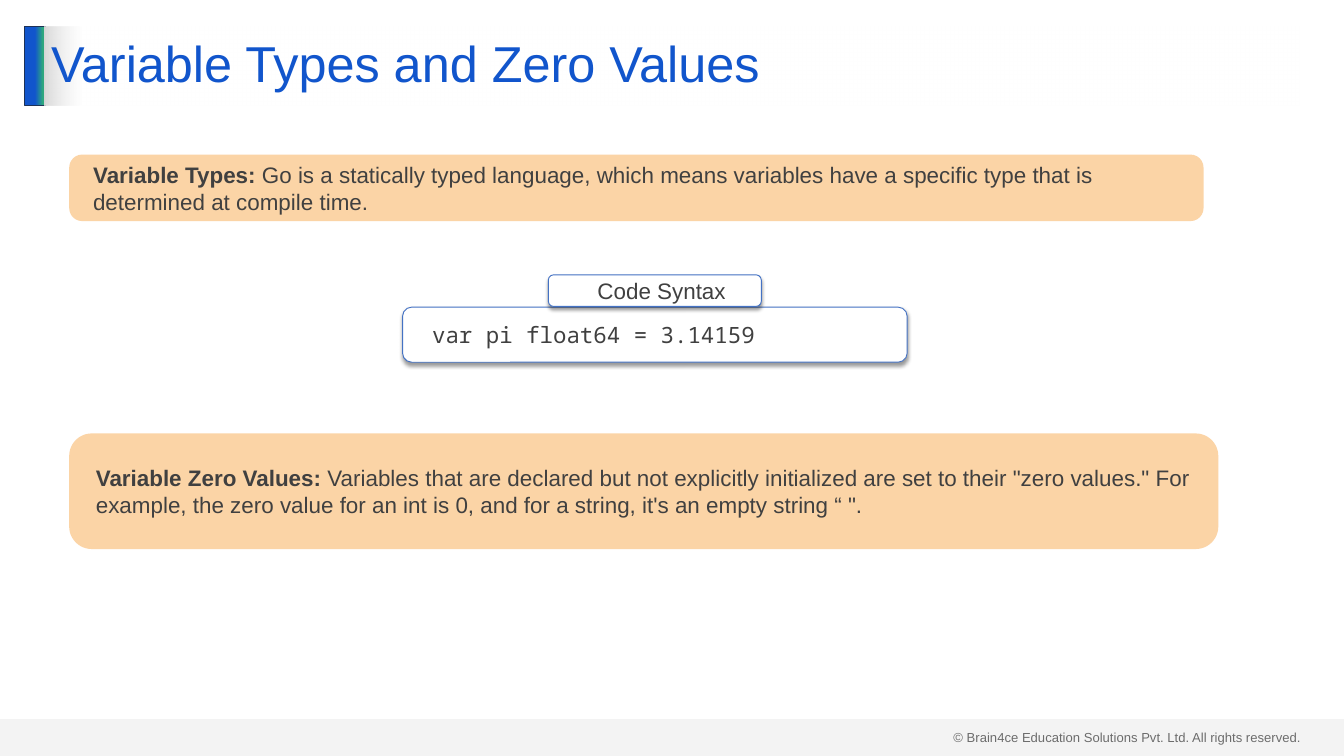
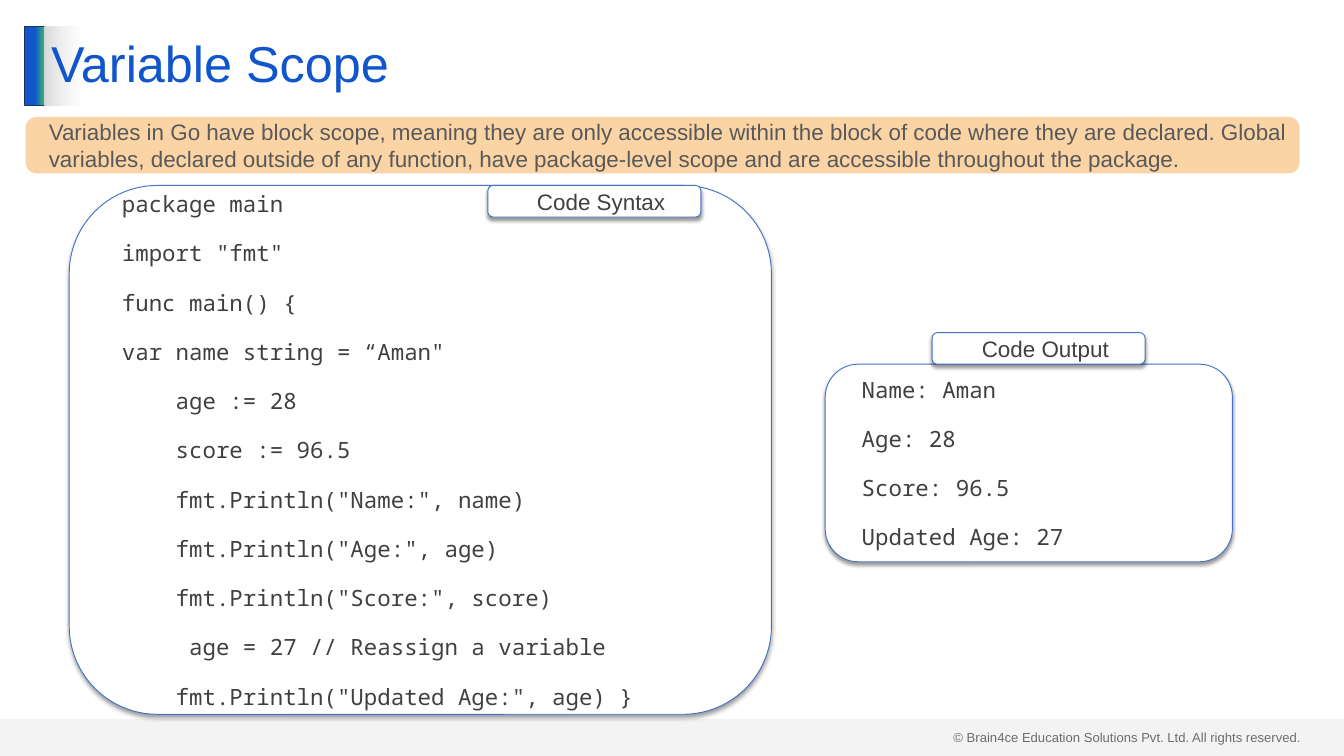
from dataclasses import dataclass, replace

import pptx
import pptx.dml.color
import pptx.enum.shapes
import pptx.enum.text
import pptx.oxml
import pptx.oxml.ns
import pptx.presentation
import pptx.shapes.autoshape
import pptx.slide
import pptx.text.text
import pptx.util
from pptx.dml.color import RGBColor
from pptx.enum.shapes import MSO_SHAPE
from pptx.enum.text import MSO_ANCHOR, PP_ALIGN
from pptx.util import Inches

# Colours
BLUE = RGBColor(0x11, 0x55, 0xCC)
GREEN = RGBColor(0x2E, 0xA8, 0x7D)
NAVY = RGBColor(0x1E, 0x32, 0x56)
OUTLINE = RGBColor(0x44, 0x72, 0xC4)
PEACH = RGBColor(0xFA, 0xBE, 0x79)
SILVER = RGBColor(0xD9, 0xD9, 0xD9)
WHITE = RGBColor(0xFF, 0xFF, 0xFF)
DARK = RGBColor(0x40, 0x40, 0x40)
GREY = RGBColor(0x59, 0x59, 0x59)

# Fonts and shared wording
SANS = "Arial"
MONO = "Noto Sans Mono"
COPYRIGHT = "© Brain4ce Education Solutions Pvt. Ltd. All rights reserved."

# Shared geometry, in inches
HEADER_TOP, HEADER_HEIGHT = 0.39, 1.18
TAG_WIDTH, TAG_HEIGHT = 3.17, 0.47
TITLE_ONLY = 5

Bounds = tuple[float, float, float, float]


@dataclass(frozen=True)
class Style:
    fill: RGBColor
    font: str = SANS
    color: RGBColor = DARK
    align: PP_ALIGN = PP_ALIGN.LEFT
    opacity: int = 100
    corner: float = 0.1667
    side_inset: float = 0.2
    end_inset: float = 0.1
    framed: bool = True


@dataclass(frozen=True)
class Panel:
    bounds: Bounds
    style: Style
    lines: tuple[str, ...]
    lead: str = ""


@dataclass(frozen=True)
class Lesson:
    title: str
    panels: tuple[Panel, ...]


CALLOUT = Style(PEACH, opacity=66, corner=0.195, side_inset=0.1, end_inset=0.05, framed=False)
GREY_CALLOUT = replace(CALLOUT, color=GREY)
CODE = Style(WHITE, font=MONO)
TAG = Style(WHITE, align=PP_ALIGN.CENTER)


def tag(left: float, top: float, caption: str) -> Panel:
    return Panel((left, top, TAG_WIDTH, TAG_HEIGHT), TAG, (caption,))


LESSONS = (
    Lesson("Variable Types and Zero Values", (
        Panel((1.03, 2.3, 16.88, 0.99), CALLOUT, (
            "Go is a statically typed language, which means variables have a specific type "
            "that is determined at compile time.",
        ), lead="Variable Types: "),
        Panel((5.99, 4.57, 7.51, 0.82), CODE, ("var pi float64 = 3.14159",)),
        tag(8.16, 4.09, "Code Syntax"),
        Panel((1.03, 6.45, 17.1, 1.72), CALLOUT, (
            "Variables that are declared but not explicitly initialized are set to their "
            '"zero values." For example, the zero value for an int is 0, and for a string, '
            "it's an empty string “ \".",
        ), lead="Variable Zero Values: "),
    )),
    Lesson("Variable Scope", (
        Panel((1.03, 2.76, 10.45, 7.87), CODE, (
            "package main",
            'import "fmt"',
            "func main() {",
            'var name string = “Aman"',
            "    age := 28",
            "    score := 96.5",
            '    fmt.Println("Name:", name)',
            '    fmt.Println("Age:", age)',
            '    fmt.Println("Score:", score)',
            "     age = 27 // Reassign a variable",
            '    fmt.Println("Updated Age:", age) }',
        )),
        tag(7.26, 2.76, "Code Syntax"),
        Panel((0.38, 1.74, 18.96, 0.84), GREY_CALLOUT, (
            "Variables in Go have block scope, meaning they are only accessible within the "
            "block of code where they are declared. Global variables, declared outside of any "
            "function, have package-level scope and are accessible throughout the package.",
        )),
        Panel((12.28, 5.42, 6.06, 2.94), CODE, (
            "Name: Aman", "Age: 28", "Score: 96.5", "Updated Age: 27",
        )),
        tag(13.87, 4.95, "Code Output"),
    )),
)


# Formatting helpers
def set_opacity(shape: pptx.shapes.autoshape.Shape, percent: int) -> None:
    """Make the last colour of the shape's fill translucent."""
    color = list(shape.element.spPr.iter(pptx.oxml.ns.qn("a:srgbClr")))[-1]
    alpha = color.makeelement(pptx.oxml.ns.qn("a:alpha"), {"val": str(percent * 1000)})
    color.append(alpha)


def set_gradient(
    shape: pptx.shapes.autoshape.Shape, *stops: tuple[float, RGBColor]
) -> None:
    shape.fill.gradient()
    shape.fill.gradient_angle = 0
    for stop, (position, color) in zip(shape.fill.gradient_stops, stops):
        stop.position = position
        stop.color.rgb = color


def add_drop_shadow(shape: pptx.shapes.autoshape.Shape) -> None:
    effects = shape.element.spPr.find(pptx.oxml.ns.qn("a:effectLst"))
    effects.append(pptx.oxml.parse_xml(
        f'<a:outerShdw {pptx.oxml.ns.nsdecls("a")} blurRad="{pptx.util.Pt(4)}" '
        f'dist="{pptx.util.Pt(3)}" dir="5400000" algn="t" rotWithShape="0">'
        '<a:srgbClr val="000000"><a:alpha val="40000"/></a:srgbClr></a:outerShdw>'
    ))


def add_span(
    para: pptx.text.text._Paragraph, text: str, font: str, size: int,
    color: RGBColor, bold: bool = False,
) -> None:
    span = para.add_run()
    span.text = text
    span.font.name = font
    span.font.size = pptx.util.Pt(size)
    span.font.color.rgb = color
    span.font.bold = bold


def add_box(
    page: pptx.slide.Slide, kind: MSO_SHAPE, bounds: Bounds
) -> pptx.shapes.autoshape.Shape:
    box = page.shapes.add_shape(kind, *map(Inches, bounds))
    box.shadow.inherit = False
    box.line.fill.background()
    return box


def set_outline(box: pptx.shapes.autoshape.Shape, color: RGBColor) -> None:
    box.line.color.rgb = color
    box.line.width = pptx.util.Pt(1)


# Slide parts
def add_footer(page: pptx.slide.Slide) -> None:
    notice = page.shapes.add_textbox(*map(Inches, (14.09, 10.8, 5.41, 0.34)))
    notice.text_frame.word_wrap = True
    add_span(notice.text_frame.paragraphs[0], COPYRIGHT, SANS, 14, DARK)
    band = add_box(page, MSO_SHAPE.RECTANGLE, (0, 10.7, 20, 0.55))
    band.fill.solid()
    band.fill.fore_color.rgb = SILVER
    set_opacity(band, 29)


def add_header(page: pptx.slide.Slide, text: str) -> None:
    accent = add_box(page, MSO_SHAPE.RECTANGLE, (0.37, HEADER_TOP, 0.3, HEADER_HEIGHT))
    set_gradient(accent, (0.51, BLUE), (0.9, GREEN))
    set_outline(accent, NAVY)

    title = page.shapes.title
    title.left, title.top = Inches(0.66), Inches(HEADER_TOP)
    title.width, title.height = Inches(18.67), Inches(HEADER_HEIGHT)
    set_gradient(title, (0, SILVER), (0.03, WHITE))
    set_opacity(title, 50)
    title.text_frame.vertical_anchor = MSO_ANCHOR.MIDDLE
    para = title.text_frame.paragraphs[0]
    para.alignment = PP_ALIGN.LEFT
    para.line_spacing = 0.9
    add_span(para, text, SANS, 54, BLUE)
    # Bring the title in front of the accent bar
    title.element.getparent().append(title.element)


def add_panel(page: pptx.slide.Slide, panel: Panel) -> None:
    style = panel.style
    box = add_box(page, MSO_SHAPE.ROUNDED_RECTANGLE, panel.bounds)
    box.adjustments[0] = style.corner
    box.fill.solid()
    box.fill.fore_color.rgb = style.fill
    if style.opacity < 100:
        set_opacity(box, style.opacity)
    if style.framed:
        set_outline(box, OUTLINE)
        add_drop_shadow(box)

    frame = box.text_frame
    frame.word_wrap = True
    frame.vertical_anchor = MSO_ANCHOR.MIDDLE
    frame.margin_left = frame.margin_right = Inches(style.side_inset)
    frame.margin_top = frame.margin_bottom = Inches(style.end_inset)
    last = len(panel.lines) - 1
    for index, line in enumerate(panel.lines):
        para = frame.add_paragraph() if index else frame.paragraphs[0]
        para.level = 1
        para.alignment = style.align
        para.space_before = pptx.util.Pt(12 if index else 0)
        para.space_after = pptx.util.Pt(12 if index < last else 0)
        properties = para._p.get_or_add_pPr()
        properties.set("marL", str(Inches(0.2)))
        properties.set("indent", "0")
        if panel.lead:
            add_span(para, panel.lead, style.font, 24, style.color, bold=True)
        add_span(para, line, style.font, 24, style.color)


def add_lesson(deck: pptx.presentation.Presentation, lesson: Lesson) -> None:
    page = deck.slides.add_slide(deck.slide_layouts[TITLE_ONLY])
    add_footer(page)
    add_header(page, lesson.title)
    for panel in lesson.panels:
        add_panel(page, panel)


def main() -> None:
    deck = pptx.Presentation()
    deck.slide_width, deck.slide_height = Inches(20), Inches(11.25)
    for lesson in LESSONS:
        add_lesson(deck, lesson)
    deck.save("out.pptx")


if __name__ == "__main__":
    main()
